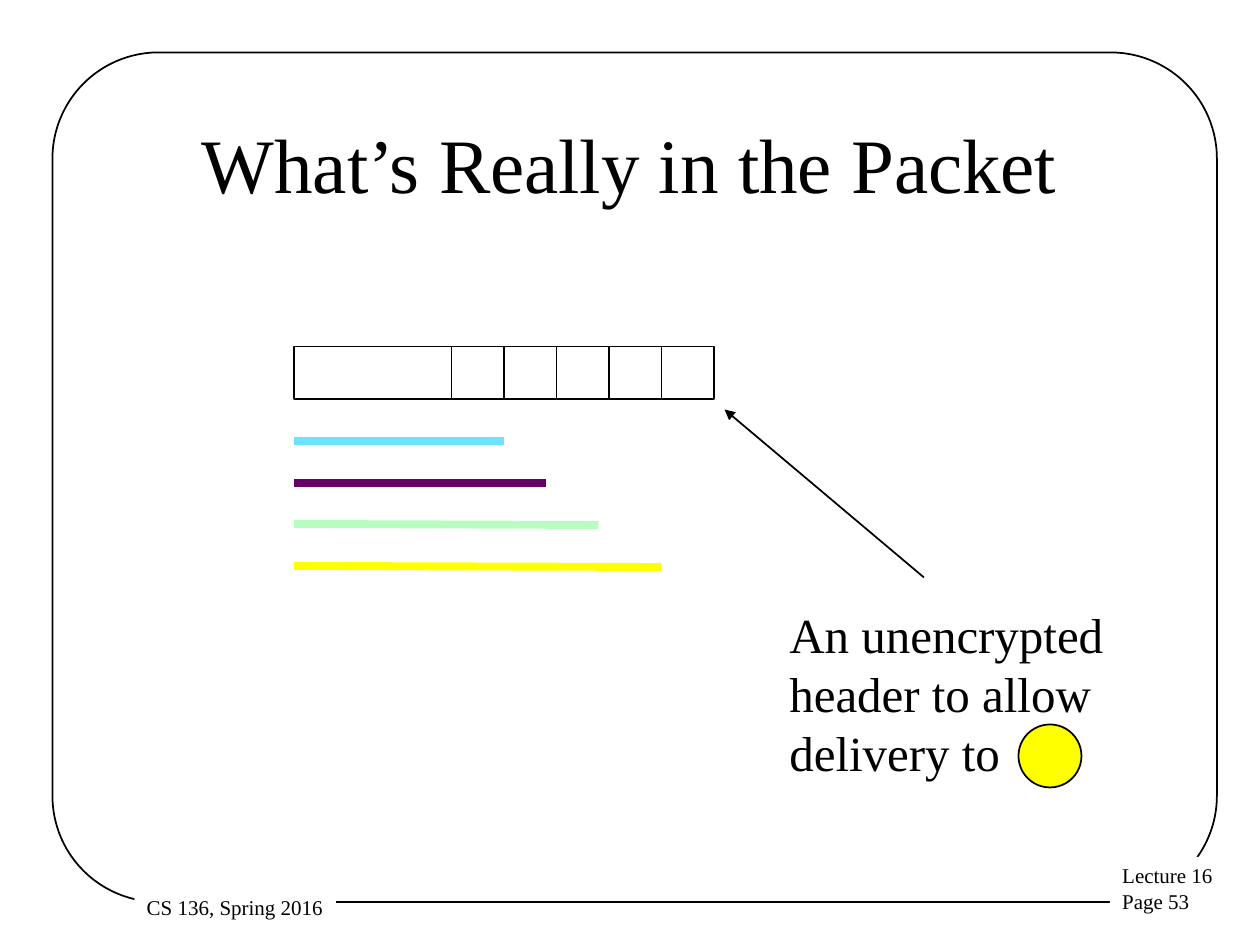
"""Builds the slide on what is really in the onion-routed packet."""
from lxml import etree
from pptx import Presentation
from pptx import util as u
from pptx.dml.color import RGBColor
from pptx.enum import shapes, text
from pptx.oxml.ns import qn

COLORS = {
    "black": "000000", "white": "FFFFFF", "cyan": "6CE3FD",
    "purple": "660066", "green": "B7FDC0", "yellow": "FFFF00",
}
PX = u.Inches(1) // 120
CELL = 50
PACKET_LEFT, PACKET_TOP, HEADER_WIDTH = 280, 330, 200


class SlideBuilder:
    """Holds the style and the current slide, and draws each kind of element."""

    font = "Times New Roman"

    def __init__(self, slide):
        self.shapes = slide.shapes

    def color(self, name):
        return RGBColor.from_string(COLORS[name])

    def stroke(self, line, color, width):
        line.color.rgb = self.color(color)
        line.width = u.Pt(width)

    def shape(self, kind, left, top, width, height, fill=None, outlined=True):
        shape = self.shapes.add_shape(kind, left * PX, top * PX, width * PX, height * PX)
        shape.shadow.inherit = False
        if fill:
            shape.fill.solid()
            shape.fill.fore_color.rgb = self.color(fill)
        else:
            shape.fill.background()
        if outlined:
            self.stroke(shape.line, "black", 1)
        else:
            shape.line.fill.background()
        return shape

    def typeset(self, box, lines, size, align=text.PP_ALIGN.LEFT,
                anchor=text.MSO_ANCHOR.TOP, wrap=True):
        frame = box.text_frame
        frame.word_wrap = wrap
        frame.vertical_anchor = anchor
        frame.text = "\n".join(lines)
        for para in frame.paragraphs:
            para.alignment = align
            para.font.name = self.font
            para.font.size = u.Pt(size)
            para.font.color.rgb = self.color("black")

    def text(self, left, top, width, height, content, size, **style):
        box = self.shapes.add_textbox(left * PX, top * PX, width * PX, height * PX)
        self.typeset(box, [content], size, **style)

    def label(self, left, top, width, height, lines):
        box = self.shape(shapes.MSO_SHAPE.RECTANGLE, left, top, width, height,
                         "white", outlined=False)
        self.typeset(box, lines, 12, wrap=False)

    def line(self, start, end, color, width, arrow=False):
        line = self.shapes.add_connector(
            shapes.MSO_CONNECTOR.STRAIGHT, *(value * PX for value in (*start, *end)))
        self.stroke(line.line, color, width)
        properties = line.element.spPr
        if arrow:
            etree.SubElement(properties.find(qn("a:ln")), qn("a:headEnd"), type="triangle")
        etree.SubElement(properties, qn("a:effectLst"))


def main():
    deck = Presentation()
    deck.slide_width, deck.slide_height = 1200 * PX, 900 * PX
    page = SlideBuilder(deck.slides.add_slide(deck.slide_layouts[6]))
    kinds = shapes.MSO_SHAPE

    frame = page.shape(kinds.ROUNDED_RECTANGLE, 50, 50, 1109, 809)
    frame.adjustments[0] = 0.125
    page.label(1057, 816, 152, 60, ["Lecture 16", "Page 53"])
    page.label(128, 846, 192, 36, ["CS 136, Spring 2016"])
    page.text(90, 80, 1020, 150, "What’s Really in the Packet", 44,
              align=text.PP_ALIGN.CENTER, anchor=text.MSO_ANCHOR.MIDDLE)

    page.shape(kinds.RECTANGLE, PACKET_LEFT, PACKET_TOP, HEADER_WIDTH, CELL)
    first_cell = PACKET_LEFT + HEADER_WIDTH - CELL
    for index in range(5):
        page.shape(kinds.RECTANGLE, first_cell + index * CELL, PACKET_TOP,
                   CELL, CELL, "white")

    layers = [("cyan", 480, 420), ("purple", 520, 460),
              ("green", 570, 499), ("yellow", 630, 539)]
    for index, (color, right, top) in enumerate(layers):
        page.line((PACKET_LEFT, top), (right, 420 + 40 * index), color, 4.5)

    page.line((690, 390), (880, 550), "black", 1, arrow=True)
    page.text(740, 570, 390, 180, "An unencrypted header to allow delivery to", 28)
    page.shape(kinds.OVAL, 970, 690, 60, 60, "yellow")
    deck.save("out.pptx")


if __name__ == "__main__":
    main()
